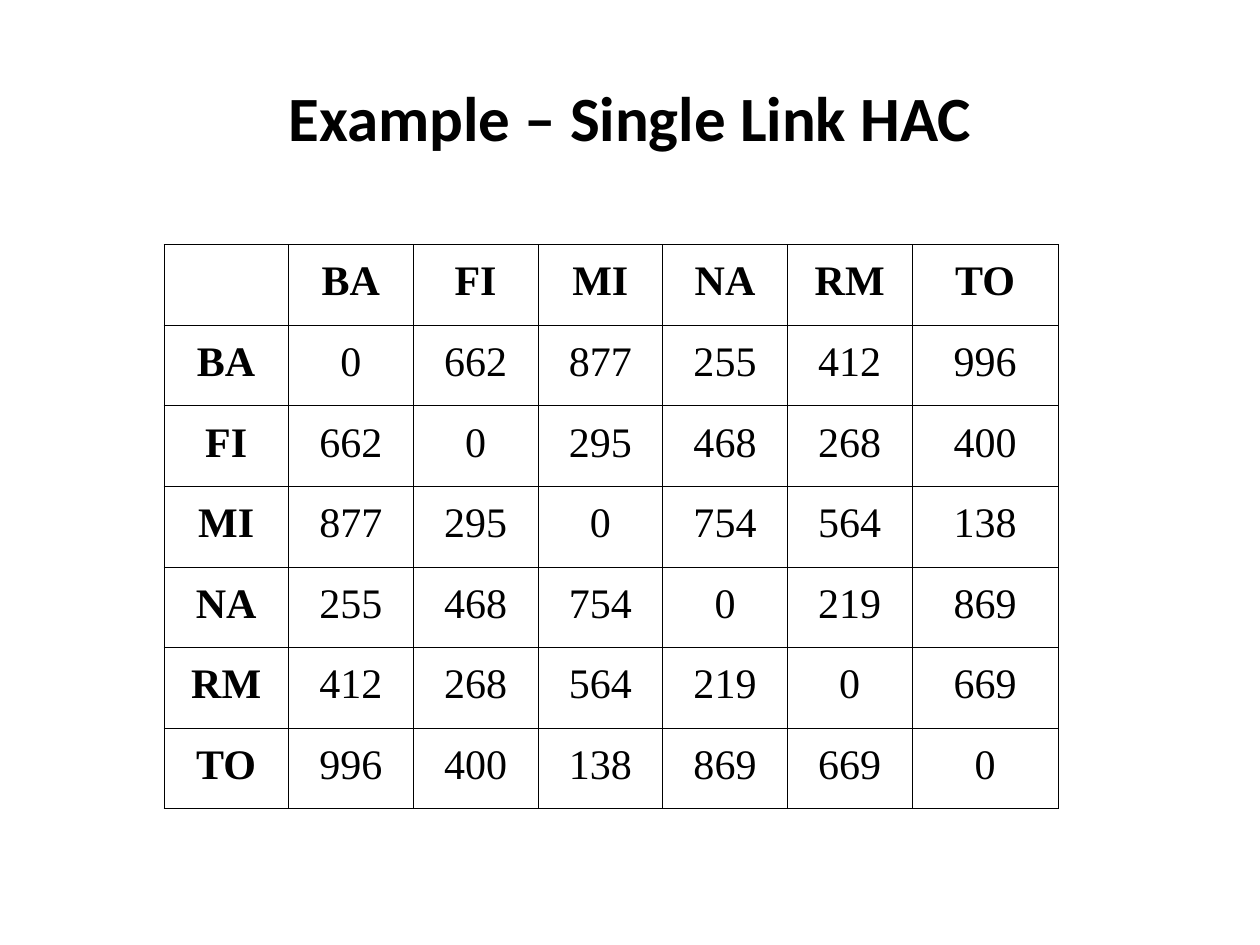
from dataclasses import dataclass

from lxml import etree
from pptx import Presentation
from pptx.dml.color import RGBColor
from pptx.enum.text import MSO_ANCHOR, PP_ALIGN
from pptx.oxml.ns import qn
from pptx.slide import Slide
from pptx.table import _Cell
from pptx.text.text import TextFrame
from pptx.util import Inches, Pt

CENTER = PP_ALIGN.CENTER
MIDDLE = MSO_ANCHOR.MIDDLE


@dataclass(frozen=True)
class Theme:
    ink: str = "000000"
    title_font: str = "Calibri"
    table_font: str = "Times New Roman"
    title_size: float = 36
    table_size: float = 24
    border_width: float = 0.34


@dataclass(frozen=True)
class DistanceTable:
    cities: tuple[str, ...]
    lower_triangle: tuple[tuple[int, ...], ...]
    left: float
    top: float
    column_width: float
    last_column_width: float
    row_height: float

    def distance(self, first: int, second: int) -> int:
        if first == second:
            return 0
        return self.lower_triangle[max(first, second) - 1][min(first, second)]

    def rows(self) -> list[list[str]]:
        header = ["", *self.cities]
        indices = range(len(self.cities))
        body = [
            [city, *(str(self.distance(row, column)) for column in indices)]
            for row, city in enumerate(self.cities)
        ]
        return [header, *body]


THEME = Theme()
DISTANCES = DistanceTable(
    cities=("BA", "FI", "MI", "NA", "RM", "TO"),
    lower_triangle=(
        (662,),
        (877, 295),
        (255, 468, 754),
        (412, 268, 564, 219),
        (996, 400, 138, 869, 669),
    ),
    left=1.3,
    top=1.94,
    column_width=0.99,
    last_column_width=1.16,
    row_height=0.64,
)


def write_text(frame: TextFrame, text: str, *, font: str, size: float,
               bold: bool = False, line_spacing: float = 1.0) -> None:
    para = frame.paragraphs[0]
    para.alignment = CENTER
    para.line_spacing = line_spacing
    span = para.add_run()
    span.text = text
    span.font.name = font
    span.font.size = Pt(size)
    span.font.bold = bold
    span.font.color.rgb = RGBColor.from_string(THEME.ink)


def add_borders(cell: _Cell) -> None:
    properties = cell._tc.get_or_add_tcPr()
    for side in ("a:lnL", "a:lnR", "a:lnT", "a:lnB"):
        line = etree.SubElement(properties, qn(side), w=str(Pt(THEME.border_width)))
        fill = etree.SubElement(line, qn("a:solidFill"))
        etree.SubElement(fill, qn("a:srgbClr"), val=THEME.ink)


def add_title(page: Slide, text: str) -> None:
    box = page.shapes.add_textbox(Inches(0.5), Inches(0.3), Inches(9), Inches(1.25))
    frame = box.text_frame
    frame.word_wrap = True
    frame.vertical_anchor = MIDDLE
    write_text(frame, text, font=THEME.title_font, size=THEME.title_size, bold=True)


def add_distance_table(page: Slide, spec: DistanceTable) -> None:
    rows = spec.rows()
    count = len(rows)
    width = spec.column_width * (count - 1) + spec.last_column_width
    table = page.shapes.add_table(
        count, count, Inches(spec.left), Inches(spec.top),
        Inches(width), Inches(spec.row_height * count),
    ).table
    table.first_row = False
    table.horz_banding = False
    for column in table.columns:
        column.width = Inches(spec.column_width)
    table.columns[count - 1].width = Inches(spec.last_column_width)

    for row_index, values in enumerate(rows):
        table.rows[row_index].height = Inches(spec.row_height)
        for column_index, value in enumerate(values):
            cell = table.cell(row_index, column_index)
            add_borders(cell)
            cell.fill.background()
            cell.vertical_anchor = MIDDLE
            if value:
                write_text(
                    cell.text_frame, value, font=THEME.table_font,
                    size=THEME.table_size, line_spacing=0.8,
                    bold=row_index == 0 or column_index == 0,
                )


def main() -> None:
    deck = Presentation()
    deck.slide_width = Inches(10)
    deck.slide_height = Inches(7.5)
    page = deck.slides.add_slide(deck.slide_layouts[6])
    add_title(page, "Example – Single Link HAC")
    add_distance_table(page, DISTANCES)
    deck.save("out.pptx")


if __name__ == "__main__":
    main()
